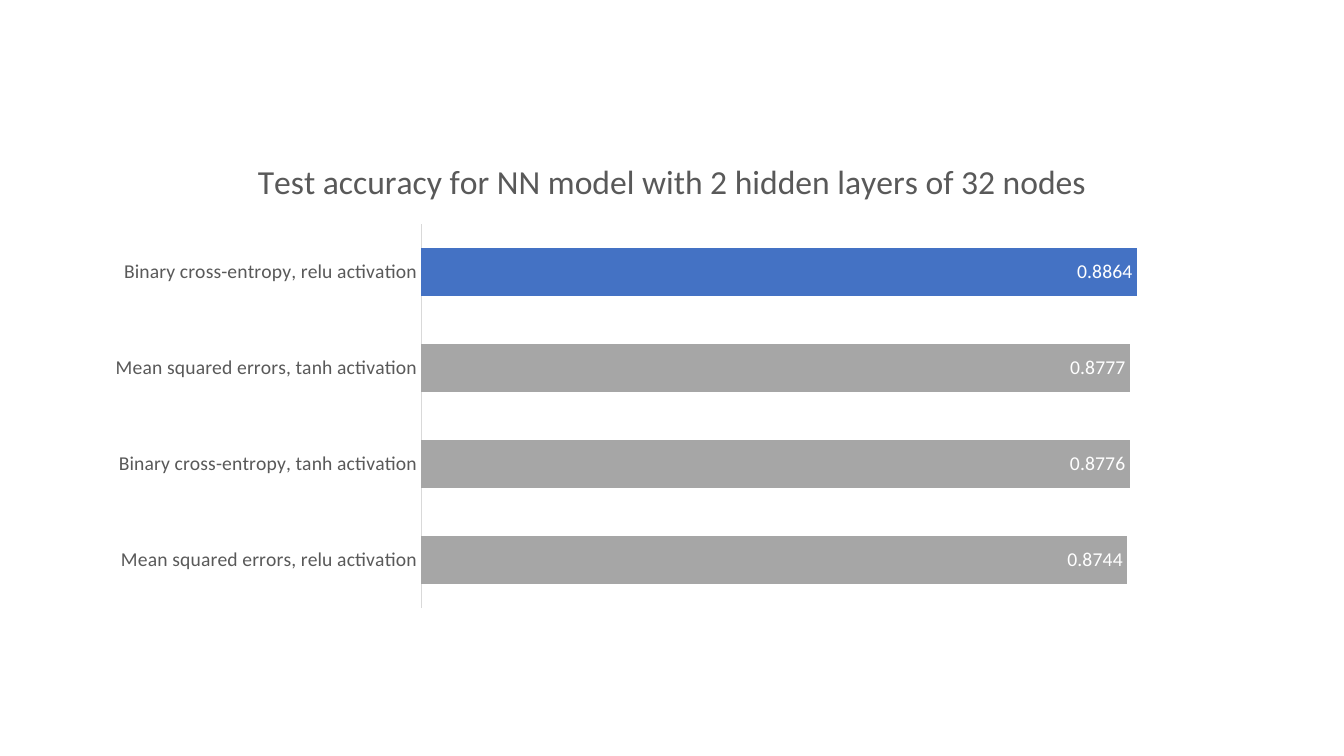
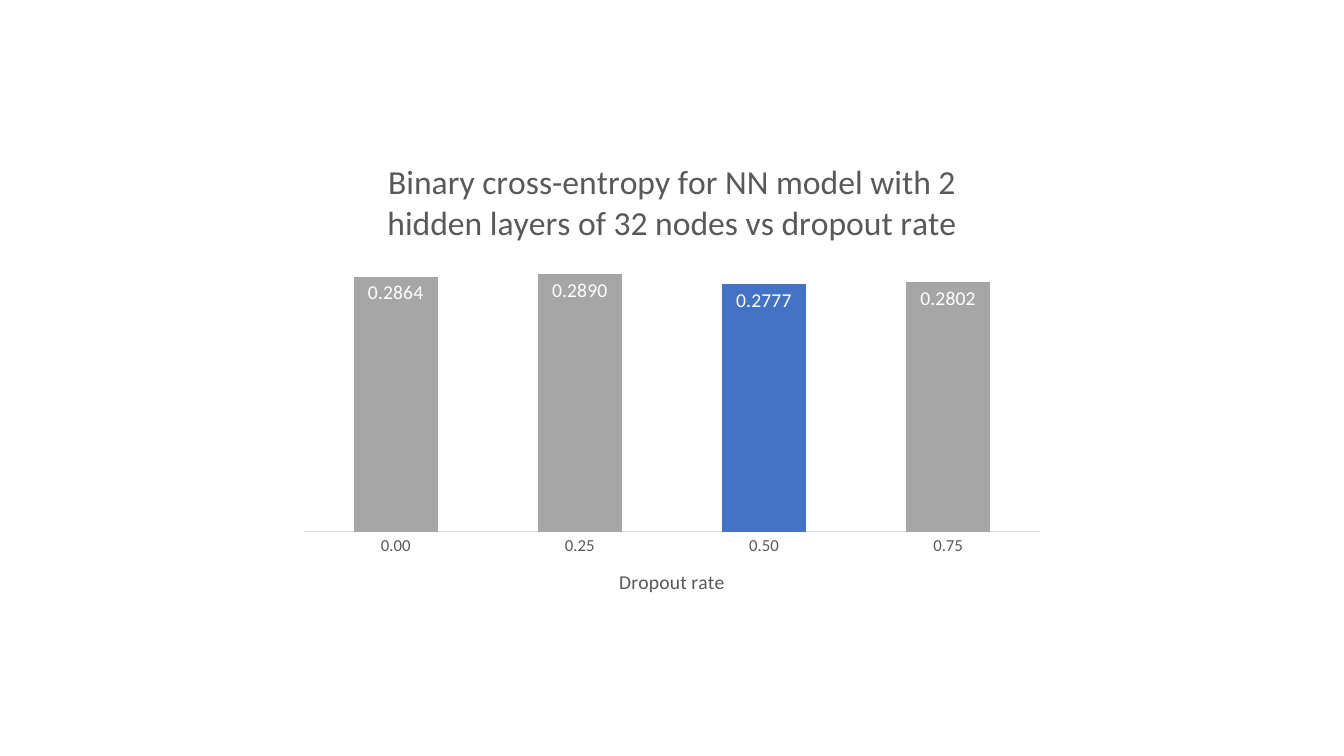
from pptx import Presentation
from pptx.chart.data import CategoryChartData
from pptx.dml.color import RGBColor
from pptx.enum.chart import XL_CHART_TYPE as CT, XL_LABEL_POSITION as LP, XL_TICK_MARK as TM
from pptx.util import Pt

BLUE = RGBColor(0x44, 0x72, 0xC4)
GRAY = RGBColor(0xA6, 0xA6, 0xA6)
TEXT = RGBColor(0x59, 0x59, 0x59)
AXIS = RGBColor(0xD9, 0xD9, 0xD9)
WHITE = RGBColor(0xFF, 0xFF, 0xFF)
FONT = "Calibri"
SLIDE_W, SLIDE_H = 960, 540
CHART_TOP, CHART_H = 98.6, 342.7


def style_font(font, size, color=TEXT):
    font.name = FONT
    font.size = Pt(size)
    font.bold = False
    font.color.rgb = color


def set_title(title, text, size):
    tf = title.text_frame
    tf.text = text
    style_font(tf.paragraphs[0].font, size)


charts = [
    dict(
        kind=CT.BAR_CLUSTERED, width=828, gap=100, top_value=1,
        title="Test accuracy for NN model with 2 hidden layers of 32 nodes",
        cats=["Binary cross-entropy, relu activation",
              "Mean squared errors, tanh activation",
              "Binary cross-entropy, tanh activation",
              "Mean squared errors, relu activation"],
        values=[0.8864, 0.8777, 0.8776, 0.8744],
        best=0, cat_size=14, reverse=True, axis_title=None,
    ),
    dict(
        kind=CT.COLUMN_CLUSTERED, width=548, gap=120, top_value=0.3,
        title="Binary cross-entropy for NN model with 2 hidden layers "
              "of 32 nodes vs dropout rate",
        cats=["0.00", "0.25", "0.50", "0.75"],
        values=[0.2864, 0.2890, 0.2777, 0.2802],
        best=2, cat_size=12, reverse=False, axis_title="Dropout rate",
    ),
]

prs = Presentation()
prs.slide_width, prs.slide_height = Pt(SLIDE_W), Pt(SLIDE_H)

for c in charts:
    s = prs.slides.add_slide(prs.slide_layouts[6])
    data = CategoryChartData(number_format="0.0000")
    data.categories = c["cats"]
    data.add_series("Series 1", c["values"])
    left = (SLIDE_W - c["width"]) / 2
    chart = s.shapes.add_chart(c["kind"], Pt(left), Pt(CHART_TOP),
                               Pt(c["width"]), Pt(CHART_H), data).chart
    style_font(chart.font, 10)
    chart.has_legend = False
    chart.has_title = True
    set_title(chart.chart_title, c["title"], 24)
    chart.chart_title.include_in_layout = False

    cat_axis = chart.category_axis
    cat_axis.reverse_order = c["reverse"]
    cat_axis.major_tick_mark = cat_axis.minor_tick_mark = TM.NONE
    cat_axis.format.line.color.rgb = AXIS
    cat_axis.format.line.width = Pt(0.75)
    style_font(cat_axis.tick_labels.font, c["cat_size"])
    if c["axis_title"]:
        set_title(cat_axis.axis_title, c["axis_title"], 14)

    val_axis = chart.value_axis
    val_axis.visible = False
    val_axis.has_major_gridlines = False
    val_axis.minimum_scale = 0
    val_axis.maximum_scale = c["top_value"]

    plot = chart.plots[0]
    plot.gap_width = c["gap"]
    plot.vary_by_categories = False
    series = plot.series[0]
    for fmt, color in [(series.format, GRAY), (series.points[c["best"]].format, BLUE)]:
        fmt.fill.solid()
        fmt.fill.fore_color.rgb = color

    labels = series.data_labels
    labels.show_value = True
    labels.position = LP.INSIDE_END
    labels.number_format = "0.0000"
    labels.number_format_is_linked = False
    style_font(labels.font, 14, WHITE)

prs.save("out.pptx")
